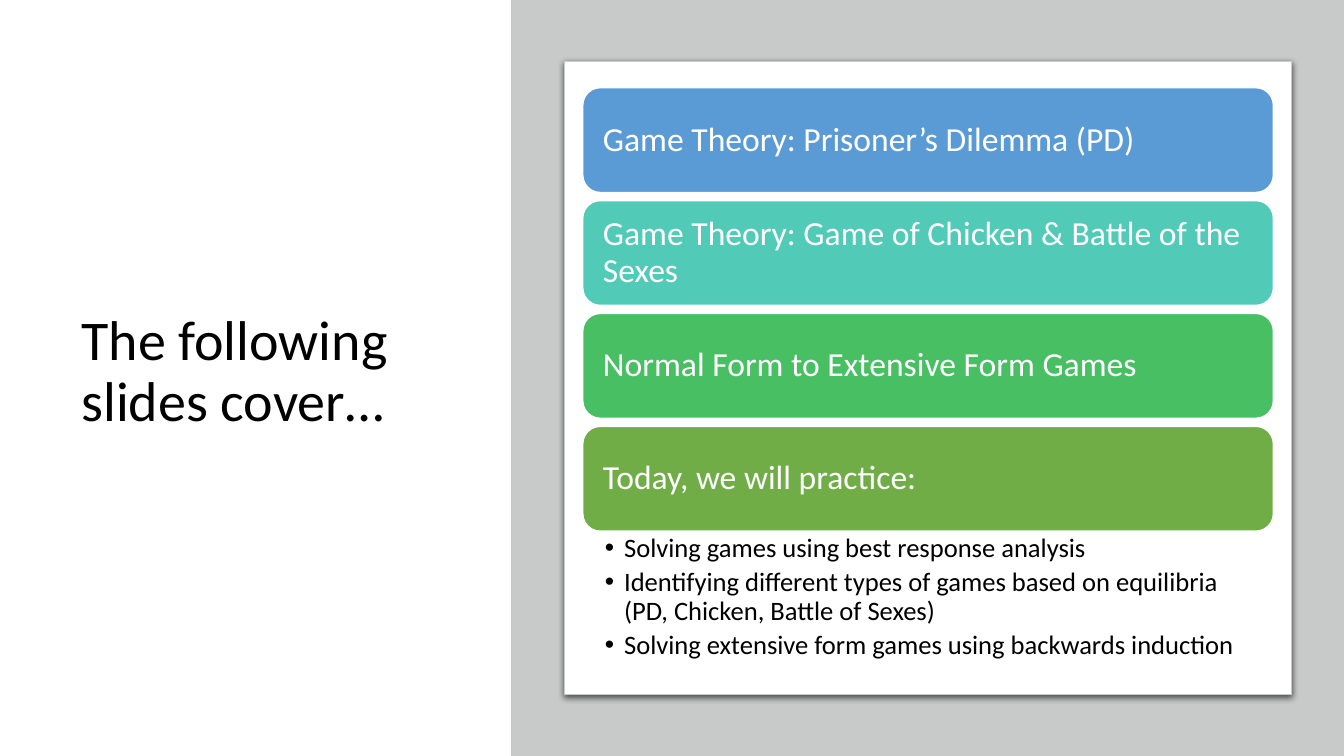
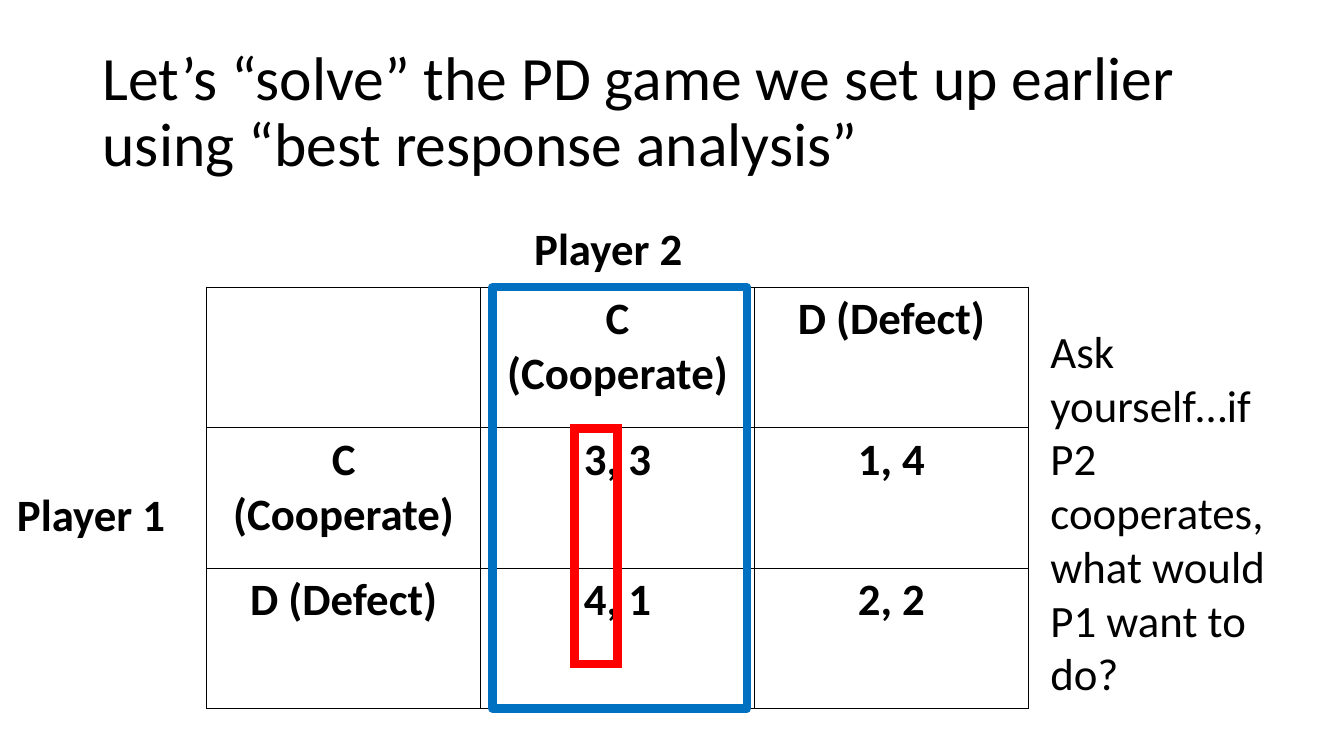
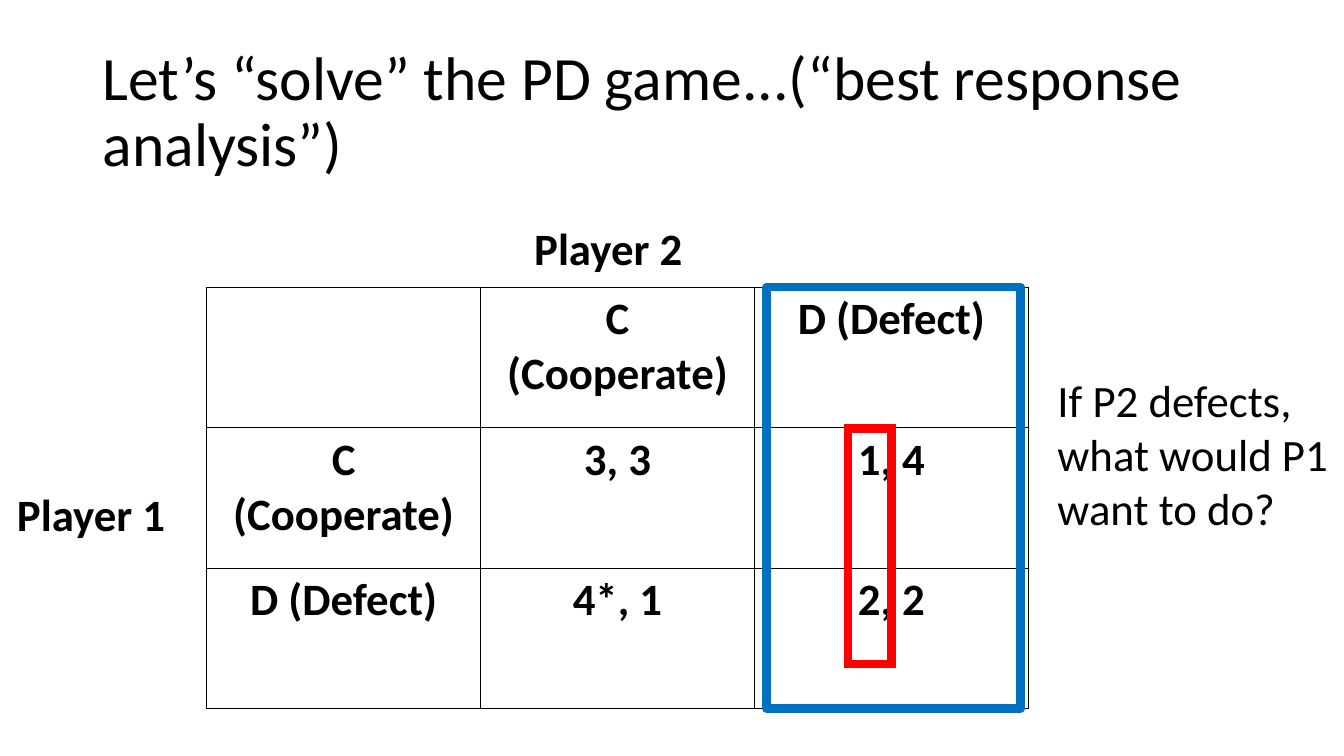
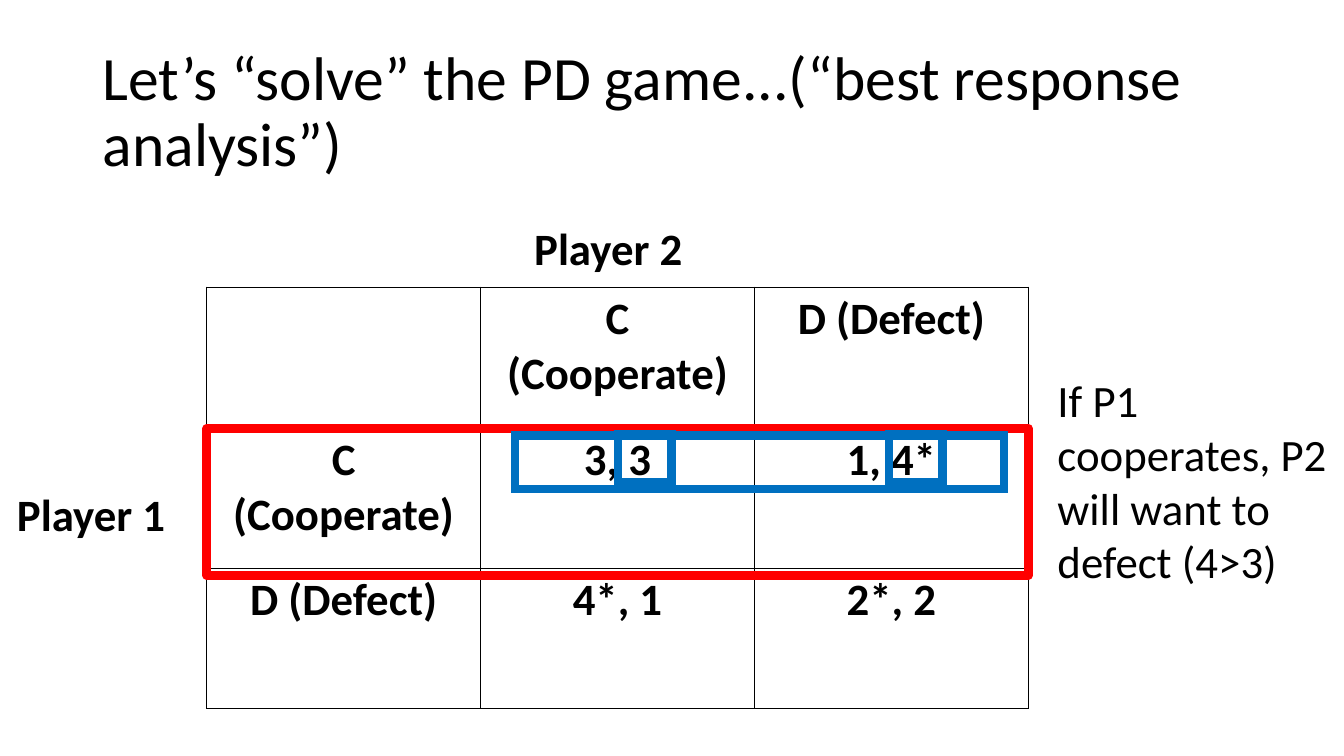
from dataclasses import dataclass
from typing import Optional

from lxml.etree import SubElement
from pptx import Presentation
from pptx.dml.color import RGBColor
from pptx.enum.shapes import MSO_SHAPE as Preset
from pptx.enum.text import MSO_ANCHOR as Anchor, PP_ALIGN as Align
from pptx.oxml import parse_xml
from pptx.oxml.ns import nsdecls, qn
from pptx.util import Inches, Pt


@dataclass(frozen=True)
class Theme:
    font: str = "Calibri"
    black: str = "000000"
    white: str = "FFFFFF"
    grey: str = "C8CACA"
    blue: str = "0070C0"
    red: str = "FF0000"
    bars: tuple[str, ...] = ("5B9BD5", "52CAB8", "49BF64", "70AD47")
    title_size: float = 44
    side_title_size: float = 40
    body_size: float = 32
    bar_size: float = 24
    bullet_size: float = 19
    tight: float = 0.9
    outline_width: float = 6


@dataclass(frozen=True)
class Area:
    left: float
    top: float
    width: float
    height: float

    def lengths(self) -> tuple:
        return tuple(Inches(n) for n in (self.left, self.top, self.width, self.height))


@dataclass(frozen=True)
class Outline:
    area: Area
    color: str
    sharp: bool = True


@dataclass(frozen=True)
class GameSlide:
    title: str
    payoffs: tuple[tuple[str, str], tuple[str, str]]
    advice: str
    advice_area: Area
    outlines: tuple[Outline, ...]


THEME = Theme()
GRID = Area(2.05, 2.85, 8.15, 4.18)
COLUMN = GRID.width / 3
STRATEGIES = ("C (Cooperate)", "D (Defect)")


def column_outlines(column: int) -> tuple[Outline, ...]:
    left = GRID.left + column * COLUMN
    return (
        Outline(Area(left + 0.12, GRID.top, 2.52, GRID.height), THEME.blue, sharp=False),
        Outline(Area(left + 0.93, 4.25, 0.43, 2.34), THEME.red),
    )


TOPICS = (
    "Game Theory: Prisoner’s Dilemma (PD)",
    "Game Theory: Game of Chicken & Battle of the Sexes",
    "Normal Form to Extensive Form Games",
    "Today, we will practice:",
)
PRACTICE = (
    "Solving games using best response analysis",
    "Identifying different types of games based on equilibria (PD, Chicken, Battle of Sexes)",
    "Solving extensive form games using backwards induction",
)
SHORT_TITLE = "Let’s “solve” the PD game...(“best response analysis”)"
GAMES = (
    GameSlide(
        "Let’s “solve” the PD game we set up earlier using “best response analysis”",
        (("3, 3", "1, 4"), ("4, 1", "2, 2")),
        "Ask yourself…if P2 cooperates, what would P1 want to do?",
        Area(10.32, 3.16, 2.55, 3.87),
        column_outlines(1),
    ),
    GameSlide(
        SHORT_TITLE,
        (("3, 3", "1, 4"), ("4*, 1", "2, 2")),
        "If P2 defects, what would P1 want to do?",
        Area(10.39, 3.65, 2.94, 1.72),
        column_outlines(2),
    ),
    GameSlide(
        SHORT_TITLE,
        (("3, 3", "1, 4*"), ("4*, 1", "2*, 2")),
        "If P1 cooperates, P2 will want to defect (4>3)",
        Area(10.39, 3.65, 2.94, 2.26),
        (
            Outline(Area(GRID.left, 4.25, GRID.width, 1.46), THEME.red, sharp=False),
            Outline(Area(6.13, 4.31, 0.53, 0.47), THEME.blue),
            Outline(Area(8.82, 4.31, 0.53, 0.47), THEME.blue),
            Outline(Area(5.11, 4.32, 4.85, 0.53), THEME.blue),
        ),
    ),
)


def add_span(para, text: str, size: float, color: str = THEME.black, bold: bool = False) -> None:
    span = para.add_run()
    span.text = text
    span.font.name = THEME.font
    span.font.size = Pt(size)
    span.font.bold = bold
    span.font.color.rgb = RGBColor.from_string(color)


def add_text(page, area: Area, text: str, size: float, bold: bool = False,
             wrap: bool = True):
    frame = page.shapes.add_textbox(*area.lengths()).text_frame
    frame.word_wrap = wrap
    add_span(frame.paragraphs[0], text, size, bold=bold)
    return frame


def add_title(page, area: Area, text: str, size: float) -> None:
    frame = add_text(page, area, text, size)
    frame.vertical_anchor = Anchor.MIDDLE
    frame.paragraphs[0].line_spacing = THEME.tight


def add_block(page, preset: Preset, area: Area, fill: Optional[str] = None,
              line: Optional[str] = None, line_width: float = 1):
    block = page.shapes.add_shape(preset, *area.lengths())
    block.shadow.inherit = False
    if fill:
        block.fill.solid()
        block.fill.fore_color.rgb = RGBColor.from_string(fill)
    else:
        block.fill.background()
    if line:
        block.line.color.rgb = RGBColor.from_string(line)
        block.line.width = Pt(line_width)
    else:
        block.line.fill.background()
    return block


def add_outline(page, outline: Outline) -> None:
    block = add_block(page, Preset.RECTANGLE, outline.area, line=outline.color,
                      line_width=THEME.outline_width)
    line = block.line._get_or_add_ln()
    if outline.sharp:
        SubElement(line, qn("a:miter"), lim="800000")
    else:
        SubElement(line, qn("a:round"))


def add_panel(page) -> None:
    panel = add_block(page, Preset.ROUNDED_RECTANGLE, Area(5.6, 0.61, 7.21, 6.28),
                      THEME.white, THEME.grey, 0.75)
    panel.adjustments[0] = 0
    effects = panel._element.spPr.find(qn("a:effectLst"))
    effects.append(parse_xml(
        f'<a:outerShdw {nsdecls("a")} blurRad="{Pt(4.5)}" dist="{Pt(1.5)}" dir="5400000" '
        f'algn="ctr" rotWithShape="0"><a:srgbClr val="{THEME.black}">'
        '<a:alpha val="63000"/></a:srgbClr></a:outerShdw>'))


def add_bar(page, area: Area, text: str, color: str) -> None:
    bar = add_block(page, Preset.ROUNDED_RECTANGLE, area, color, THEME.white)
    frame = bar.text_frame
    frame.word_wrap = True
    frame.vertical_anchor = Anchor.MIDDLE
    frame.margin_left = frame.margin_right = Inches(0.15)
    para = frame.paragraphs[0]
    para.alignment = Align.LEFT
    para.line_spacing = THEME.tight
    add_span(para, text, THEME.bar_size, THEME.white)


def add_bullets(page, area: Area, items: tuple[str, ...]) -> None:
    frame = page.shapes.add_textbox(*area.lengths()).text_frame
    frame.word_wrap = True
    frame.margin_left, frame.margin_right = Inches(0.22), Inches(0.19)
    frame.margin_top = frame.margin_bottom = Inches(0.03)
    for index, item in enumerate(items):
        para = frame.add_paragraph() if index else frame.paragraphs[0]
        para.line_spacing = THEME.tight
        para.space_after = Pt(4)
        props = para._p.get_or_add_pPr()
        props.set("marL", str(Inches(0.19)))
        props.set("indent", str(-Inches(0.19)))
        SubElement(props, qn("a:buFont"), typeface="Arial")
        SubElement(props, qn("a:buChar"), char="•")
        add_span(para, item, THEME.bullet_size)


def style_cell(cell) -> None:
    props = cell._tc.get_or_add_tcPr()
    for side in ("lnL", "lnR", "lnT", "lnB"):
        props.append(parse_xml(
            f'<a:{side} {nsdecls("a")} w="{Pt(1)}"><a:solidFill>'
            f'<a:srgbClr val="{THEME.black}"/></a:solidFill></a:{side}>'))
    cell.fill.background()


def add_payoff_table(page, payoffs: tuple[tuple[str, str], ...]) -> None:
    rows = [("", *STRATEGIES)]
    rows += [(name, *values) for name, values in zip(STRATEGIES, payoffs)]
    table = page.shapes.add_table(3, 3, *GRID.lengths()).table
    table.first_row = table.horz_banding = False
    for row, texts in enumerate(rows):
        for column, text in enumerate(texts):
            cell = table.cell(row, column)
            style_cell(cell)
            if text:
                para = cell.text_frame.paragraphs[0]
                para.alignment = Align.CENTER
                add_span(para, text, THEME.body_size, bold=True)


def build_agenda(page) -> None:
    add_title(page, Area(0.71, 0.69, 4.01, 6.02), "The following slides cover…",
              THEME.side_title_size)
    add_block(page, Preset.RECTANGLE, Area(5.07, 0, 8.26, 7.5), THEME.grey)
    add_panel(page)
    for index, (topic, color) in enumerate(zip(TOPICS, THEME.bars)):
        add_bar(page, Area(5.78, 0.87 + index * 1.12, 6.85, 1.04), topic, color)
    add_bullets(page, Area(5.78, 5.27, 6.85, 1.36), PRACTICE)


def build_game(page, game: GameSlide) -> None:
    add_title(page, Area(0.92, 0.4, 11.5, 1.45), game.title, THEME.title_size)
    add_payoff_table(page, game.payoffs)
    add_text(page, Area(0.07, 4.78, 1.69, 0.64), "Player 1", THEME.body_size,
             bold=True, wrap=False)
    add_text(page, Area(5.2, 2.14, 2.2, 0.64), "Player 2", THEME.body_size, bold=True)
    add_text(page, game.advice_area, game.advice, THEME.body_size)
    for outline in game.outlines:
        add_outline(page, outline)


def main() -> None:
    deck = Presentation()
    deck.slide_width, deck.slide_height = Inches(13.33), Inches(7.5)
    blank = deck.slide_layouts[6]
    build_agenda(deck.slides.add_slide(blank))
    for game in GAMES:
        build_game(deck.slides.add_slide(blank), game)
    deck.save("out.pptx")


if __name__ == "__main__":
    main()
